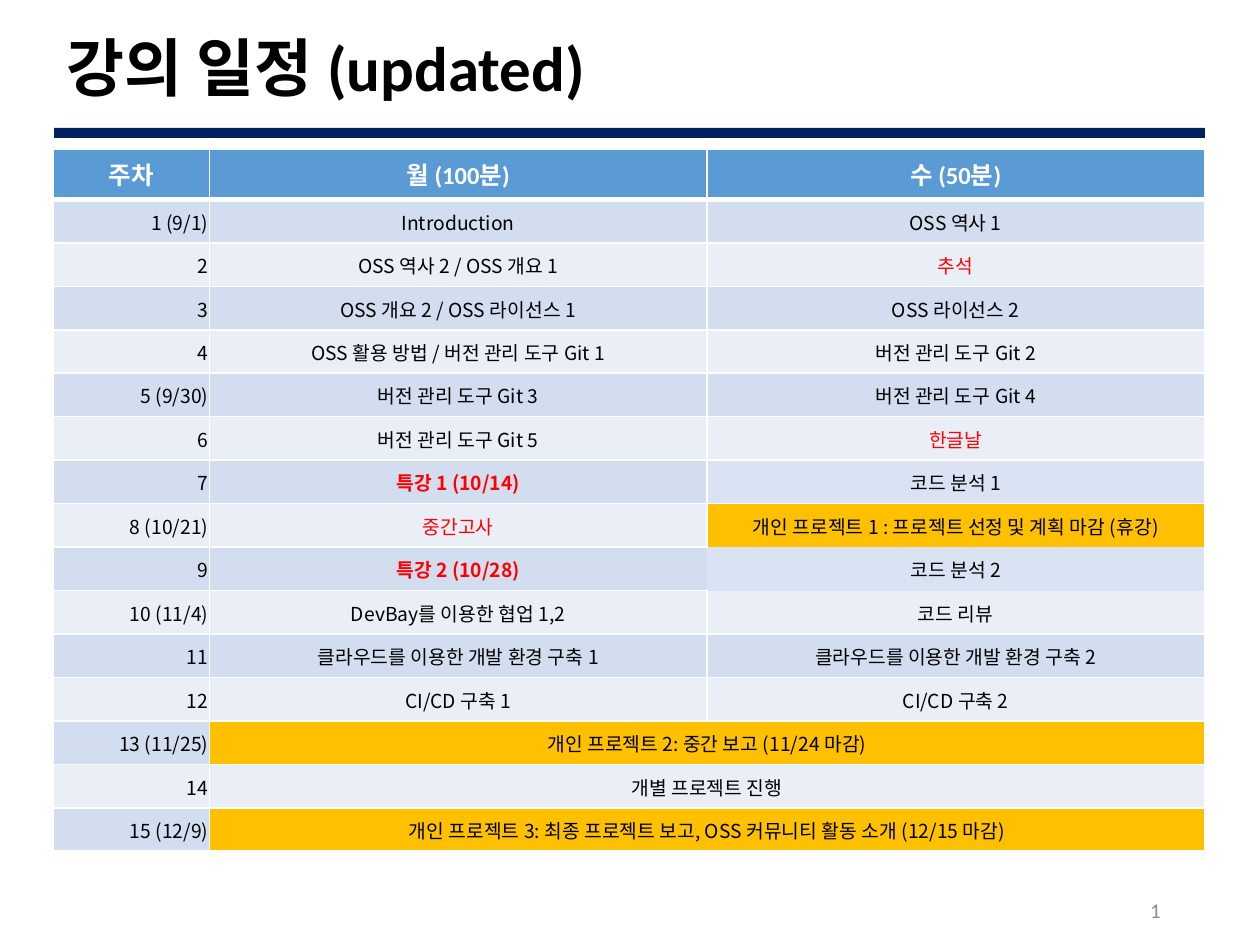
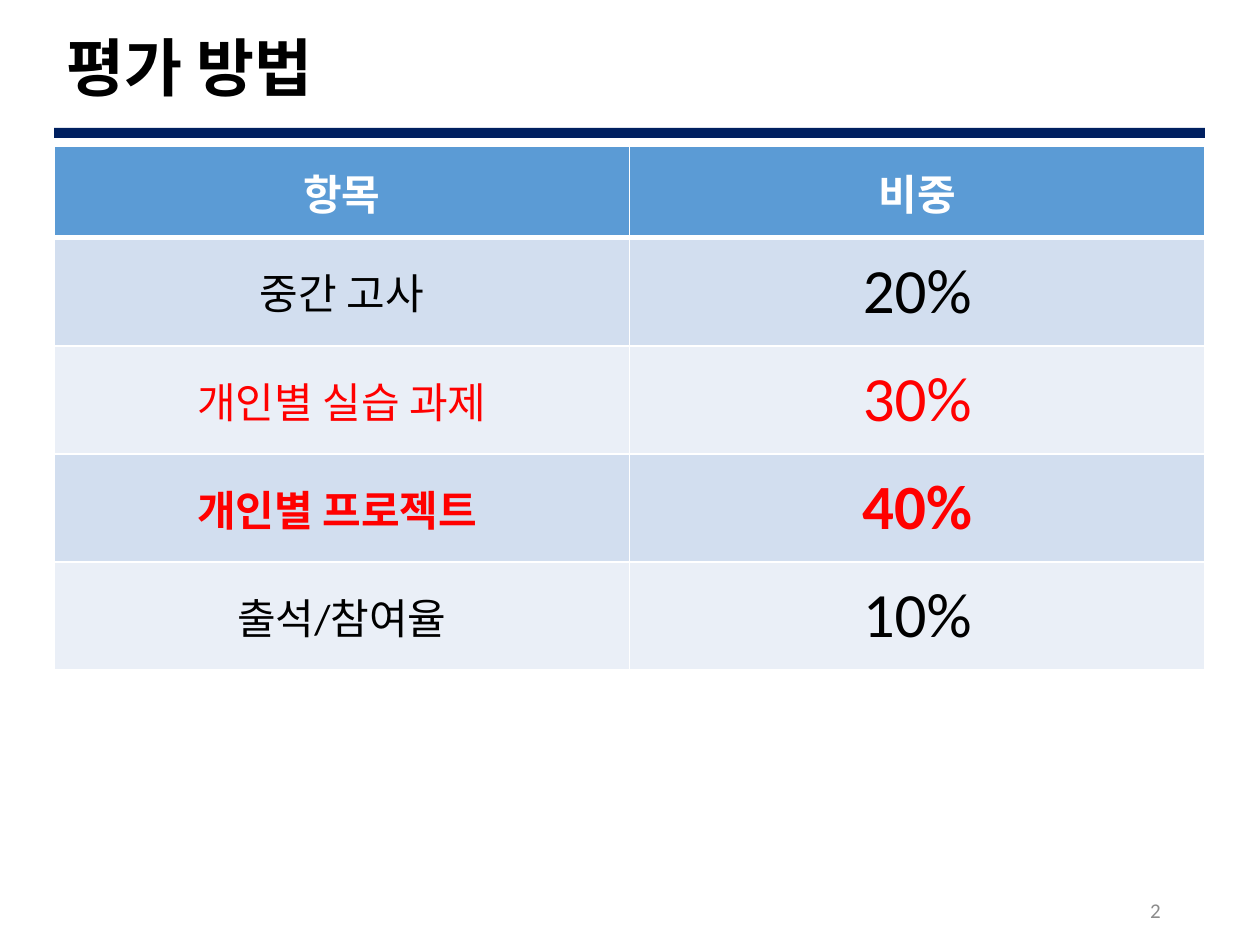
from dataclasses import dataclass

from lxml.etree import SubElement
from pptx import Presentation
from pptx.dml.color import RGBColor as Rgb
from pptx.enum.shapes import MSO_SHAPE as Preset
from pptx.enum.text import MSO_ANCHOR as Anchor, MSO_AUTO_SIZE as AutoSize, PP_ALIGN as Align
from pptx.oxml.ns import qn
from pptx.util import Cm, Pt


@dataclass(frozen=True)
class Theme:
    latin: str = "Calibri"
    korean: str = "Noto Sans CJK KR"
    navy: str = "002060"
    header: str = "5B9BD5"
    odd_row: str = "D2DEEF"
    even_row: str = "EAEFF7"
    code_row: str = "DAE3F3"
    deadline: str = "FFC000"
    black: str = "000000"
    white: str = "FFFFFF"
    red: str = "FF0000"
    grey: str = "8C8C8C"
    title_size: int = 36
    percent_size: int = 36
    item_size: int = 24
    week_header_size: int = 14
    week_size: int = 11
    number_size: int = 12
    thin: int = 1
    thick: int = 3


THEME = Theme()
LEFT, WIDTH = 1.09, 23.2

WEEKS = [
    ("1 (9/1)", "Introduction", "OSS 역사 1"),
    ("2", "OSS 역사 2 / OSS 개요 1", "추석"),
    ("3", "OSS 개요 2 / OSS 라이선스 1", "OSS 라이선스 2"),
    ("4", "OSS 활용 방법 / 버전 관리 도구 Git 1", "버전 관리 도구 Git 2"),
    ("5 (9/30)", "버전 관리 도구 Git 3", "버전 관리 도구 Git 4"),
    ("6", "버전 관리 도구 Git 5", "한글날"),
    ("7", "특강 1 (10/14)", "코드 분석 1"),
    ("8 (10/21)", "중간고사", "개인 프로젝트 1 : 프로젝트 선정 및 계획 마감 (휴강)"),
    ("9", "특강 2 (10/28)", "코드 분석 2"),
    ("10 (11/4)", "DevBay를 이용한 협업 1,2", "코드 리뷰"),
    ("11", "클라우드를 이용한 개발 환경 구축 1", "클라우드를 이용한 개발 환경 구축 2"),
    ("12", "CI/CD 구축 1", "CI/CD 구축 2"),
    ("13 (11/25)", "개인 프로젝트 2: 중간 보고 (11/24 마감)"),
    ("14", "개별 프로젝트 진행"),
    ("15 (12/9)", "개인 프로젝트 3: 최종 프로젝트 보고, OSS 커뮤니티 활동 소개 (12/15 마감)"),
]
DAYS_OFF = {"추석", "한글날", "중간고사"}
OPEN_EDGES = {(8, 2): "B", (9, 1): "R", (9, 2): "LRTB", (10, 2): "T"}

GRADES = [
    ("중간 고사", "20%", THEME.black, False),
    ("개인별 실습 과제", "30%", THEME.red, False),
    ("개인별 프로젝트 ", "40%", THEME.red, True),
    ("출석/참여율", "10%", THEME.black, False),
]


def set_values(target, values):
    for name, value in values.items():
        setattr(target, name, value)


def write(frame, text, size, color, bold=False, align=Align.CENTER, font=THEME.latin):
    frame.vertical_anchor = Anchor.MIDDLE
    para = frame.paragraphs[0]
    para.alignment = align
    span = para.add_run()
    span.text = text
    set_values(span.font, {"size": Pt(size), "bold": bold, "name": font})
    span.font.color.rgb = Rgb.from_string(color)
    SubElement(span.font._element, qn("a:ea"), typeface=THEME.korean)
    return span


def place(shape, left, top, width, height):
    sides = {"left": left, "top": top, "width": width, "height": height}
    set_values(shape, {name: Cm(value) for name, value in sides.items()})


def move_band_to_layout(page, layout):
    band = page.shapes.add_shape(Preset.RECTANGLE, Cm(LEFT), Cm(2.58), Cm(WIDTH), Cm(0.2))
    band.shadow.inherit = False
    band.fill.solid()
    band.fill.fore_color.rgb = Rgb.from_string(THEME.navy)
    band.line.fill.background()
    layout.shapes._spTree.append(band._element)


def add_page(deck, layout, title):
    page = deck.slides.add_slide(layout)
    box = page.shapes.title
    place(box, LEFT, 0.46, WIDTH, 1.96)
    set_values(box.text_frame, {"auto_size": AutoSize.NONE, "word_wrap": True})
    write(box.text_frame, title, THEME.title_size, THEME.black, True, Align.LEFT)
    box.text_frame.paragraphs[0].line_spacing = 0.9
    return page


def add_page_number(page, number):
    box = page.shapes.add_textbox(Cm(17.93), Cm(17.91), Cm(5.72), Cm(0.89))
    box.text_frame.word_wrap = True
    span = write(box.text_frame, str(number), THEME.number_size, THEME.grey, align=Align.RIGHT)
    field = span._r
    field.tag = qn("a:fld")
    field.set("id", "{B6F15528-21DE-4FAA-801E-634DDDAF4B2B}")
    field.set("type", "slidenum")


def add_grid(page, left, top, widths, heights):
    frame = page.shapes.add_table(len(heights), len(widths), Cm(left), Cm(top),
                                  Cm(sum(widths)), Cm(sum(heights)))
    grid = frame.table
    for column, width in zip(grid.columns, widths):
        column.width = Cm(width)
    for row, height in zip(grid.rows, heights):
        row.height = Cm(height)
    return grid


def rule_cell(cell, bottom, open_edges=""):
    properties = cell._tc.get_or_add_tcPr()
    for index, side in enumerate("LRTB"):
        weight = bottom if side == "B" else THEME.thin
        edge = SubElement(properties, qn(f"a:ln{side}"), w=str(Pt(weight)))
        if side in open_edges:
            SubElement(edge, qn("a:noFill"))
        else:
            fill = SubElement(edge, qn("a:solidFill"))
            SubElement(fill, qn("a:srgbClr"), val=THEME.white)
        properties.insert(index, edge)


def paint_cell(cell, fill, bottom=THEME.thin, open_edges=""):
    cell.vertical_anchor = Anchor.MIDDLE
    cell.fill.solid()
    cell.fill.fore_color.rgb = Rgb.from_string(fill)
    rule_cell(cell, bottom, open_edges)


def fill_header(grid, labels, size):
    for column, label in enumerate(labels):
        cell = grid.cell(0, column)
        write(cell.text_frame, label, size, THEME.white, True)
        paint_cell(cell, THEME.header, THEME.thick)


def row_fill(row):
    return THEME.odd_row if row % 2 else THEME.even_row


def lesson_fill(row, text):
    if text.startswith("개인 프로젝트"):
        return THEME.deadline
    return THEME.code_row if text.startswith("코드 분석") else row_fill(row)


def add_schedule(page):
    header, total = 1.02, 14.17
    heights = [header] + [(total - header) / len(WEEKS)] * len(WEEKS)
    grid = add_grid(page, 1.07, 3, [3.15, 10.03, 10.03], heights)
    fill_header(grid, ["주차", "월 (100분)", "수 (50분)"], THEME.week_header_size)
    margins = {f"margin_{side}": Cm(0.02) for side in ("left", "right", "top")}
    margins["margin_bottom"] = 0
    for row, texts in enumerate(WEEKS, start=1):
        if len(texts) == 2:
            grid.cell(row, 1).merge(grid.cell(row, 2))
        for column in range(3):
            cell = grid.cell(row, column)
            text = texts[min(column, len(texts) - 1)]
            set_values(cell, margins)
            paint_cell(cell, lesson_fill(row, text), open_edges=OPEN_EDGES.get((row, column), ""))
            if cell.is_spanned:
                continue
            special = text.startswith("특강")
            color = THEME.red if special or text in DAYS_OFF else THEME.black
            align = Align.CENTER if column else Align.RIGHT
            write(cell.text_frame, text, THEME.week_size, color, special, align, THEME.korean)


def add_grading(page):
    grid = add_grid(page, LEFT, 2.95, [WIDTH / 2] * 2, [1.84] + [2.18] * len(GRADES))
    fill_header(grid, ["항목", "비중"], THEME.item_size)
    for row, (item, percent, color, bold) in enumerate(GRADES, start=1):
        entries = [(item, THEME.item_size), (percent, THEME.percent_size)]
        for column, (text, size) in enumerate(entries):
            cell = grid.cell(row, column)
            write(cell.text_frame, text, size, color, bold)
            paint_cell(cell, row_fill(row))


def main():
    deck = Presentation()
    set_values(deck, {"slide_width": Cm(25.4), "slide_height": Cm(19.05)})
    layout = deck.slide_layouts.get_by_name("Title Only")
    contents = [("강의 일정 (updated)", add_schedule), ("평가 방법", add_grading)]
    for number, (title, add_content) in enumerate(contents, start=1):
        page = add_page(deck, layout, title)
        if number == 1:
            move_band_to_layout(page, layout)
        add_content(page)
        add_page_number(page, number)
    deck.save("out.pptx")


if __name__ == "__main__":
    main()
